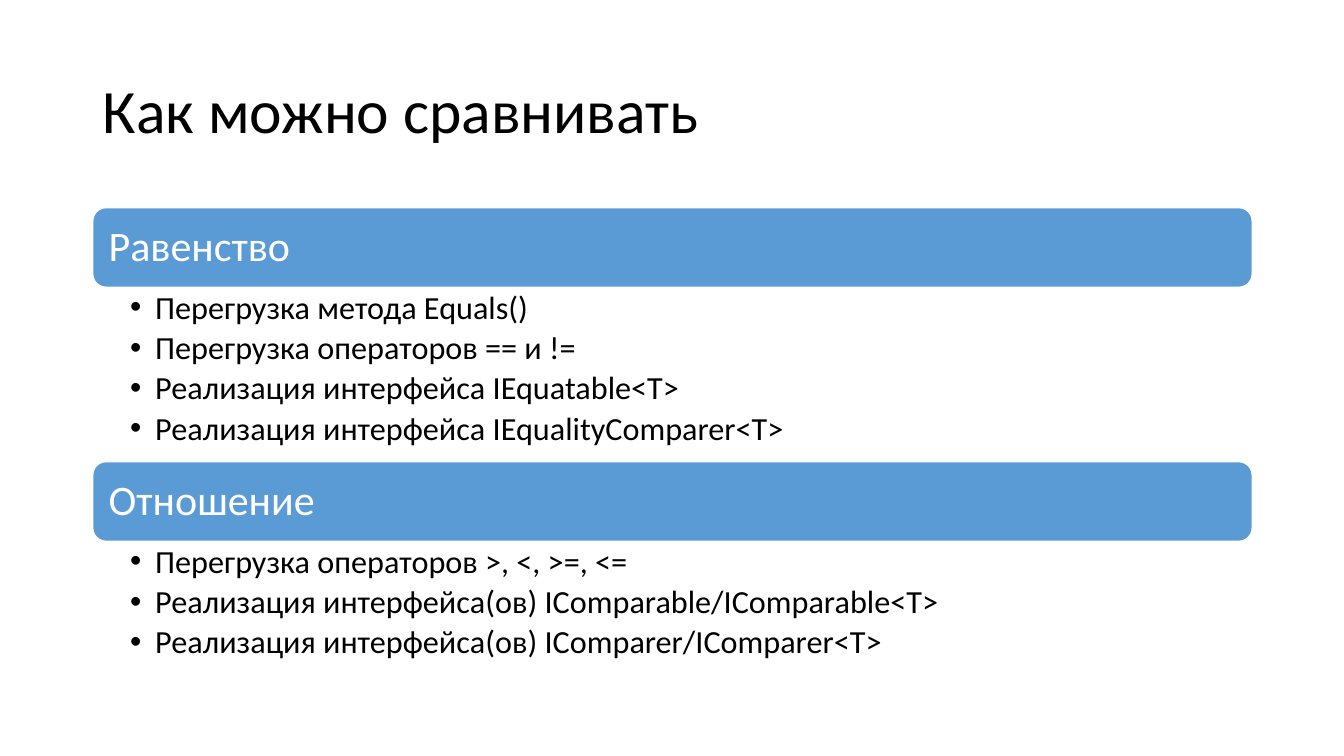
from dataclasses import dataclass

from lxml.etree import SubElement
from pptx import Presentation
from pptx.dml.color import RGBColor
from pptx.enum.shapes import MSO_SHAPE
from pptx.enum.text import MSO_ANCHOR, PP_ALIGN
from pptx.oxml.ns import qn
from pptx.slide import Slide
from pptx.text.text import TextFrame, _Paragraph as Paragraph
from pptx.util import Inches, Pt

BLACK = RGBColor(0x00, 0x00, 0x00)
WHITE = RGBColor(0xFF, 0xFF, 0xFF)
BLUE = RGBColor(0x5B, 0x9B, 0xD5)
FONT = "Calibri"

LEFT, WIDTH = 0.92, 11.5
FIRST_TOP = 2.06
HEADING_HEIGHT = 0.79


@dataclass(frozen=True)
class Section:
    heading: str
    ways: tuple[str, ...]
    ways_height: float


SECTIONS = (
    Section(
        "Равенство",
        (
            "Перегрузка метода Equals()",
            "Перегрузка операторов == и !=",
            "Реализация интерфейса IEquatable<T>",
            "Реализация интерфейса IEqualityComparer<T>",
        ),
        1.73,
    ),
    Section(
        "Отношение",
        (
            "Перегрузка операторов >, <, >=, <=",
            "Реализация интерфейса(ов) IComparable/IComparable<T>",
            "Реализация интерфейса(ов) IComparer/IComparer<T>",
        ),
        1.32,
    ),
)


def format_paragraph(paragraph: Paragraph, size: int, color: RGBColor) -> None:
    paragraph.alignment = PP_ALIGN.LEFT
    paragraph.line_spacing = 0.9
    for run in paragraph.runs:
        run.font.name = FONT
        run.font.size = Pt(size)
        run.font.color.rgb = color


def set_insets(frame: TextFrame, left: float, right: float, vertical: float) -> None:
    frame.margin_left, frame.margin_right = Inches(left), Inches(right)
    frame.margin_top = frame.margin_bottom = Inches(vertical)


def add_bullet(paragraph: Paragraph) -> None:
    properties = paragraph._p.get_or_add_pPr()
    properties.set("marL", str(Inches(0.25)))
    properties.set("indent", str(Inches(-0.25)))
    SubElement(properties, qn("a:buFont"), typeface="Arial")
    SubElement(properties, qn("a:buChar"), char="•")


def add_title(slide: Slide, text: str) -> None:
    title = slide.shapes.title
    title.left, title.top = Inches(LEFT), Inches(0.4)
    title.width, title.height = Inches(WIDTH), Inches(1.45)
    frame = title.text_frame
    frame.text = text
    frame.vertical_anchor = MSO_ANCHOR.MIDDLE
    format_paragraph(frame.paragraphs[0], 44, BLACK)


def add_heading(slide: Slide, text: str, top: float) -> None:
    bar = slide.shapes.add_shape(
        MSO_SHAPE.ROUNDED_RECTANGLE,
        Inches(LEFT), Inches(top), Inches(WIDTH), Inches(HEADING_HEIGHT),
    )
    bar.shadow.inherit = False
    bar.fill.solid()
    bar.fill.fore_color.rgb = BLUE
    bar.line.color.rgb = WHITE
    bar.line.width = Pt(1)
    frame = bar.text_frame
    frame.text = text
    frame.vertical_anchor = MSO_ANCHOR.MIDDLE
    set_insets(frame, 0.12, 0.12, 0.12)
    format_paragraph(frame.paragraphs[0], 30, WHITE)


def add_ways(slide: Slide, section: Section, top: float) -> None:
    ways_box = slide.shapes.add_textbox(
        Inches(LEFT), Inches(top), Inches(WIDTH), Inches(section.ways_height)
    )
    frame = ways_box.text_frame
    frame.word_wrap = True
    set_insets(frame, 0.37, 0.23, 0.04)
    frame.text = "\n".join(section.ways)
    for paragraph in frame.paragraphs:
        add_bullet(paragraph)
        paragraph.space_after = Pt(4)
        format_paragraph(paragraph, 23, BLACK)


def main() -> None:
    deck = Presentation()
    deck.slide_width, deck.slide_height = Inches(13.33), Inches(7.5)
    slide = deck.slides.add_slide(deck.slide_layouts[5])
    add_title(slide, "Как можно сравнивать")
    top = FIRST_TOP
    for section in SECTIONS:
        add_heading(slide, section.heading, top)
        top += HEADING_HEIGHT
        add_ways(slide, section, top)
        top += section.ways_height
    deck.save("out.pptx")


if __name__ == "__main__":
    main()
